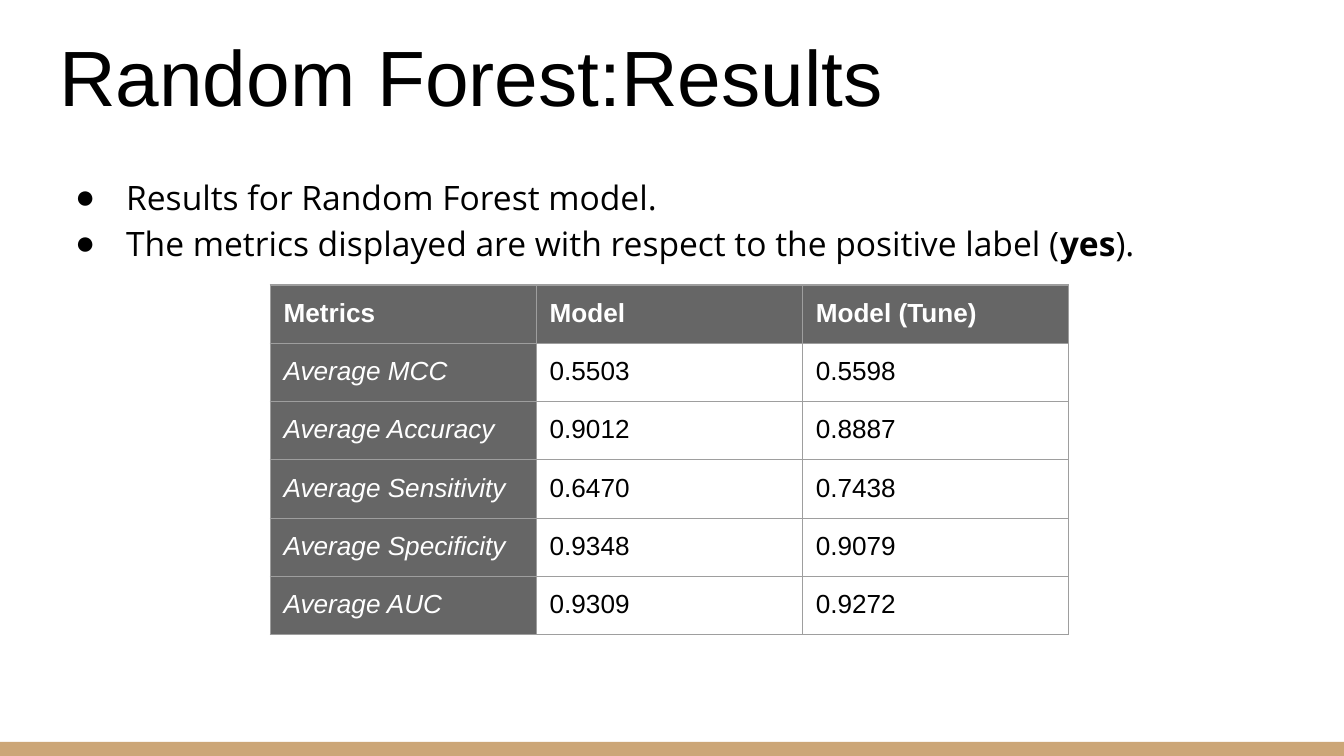
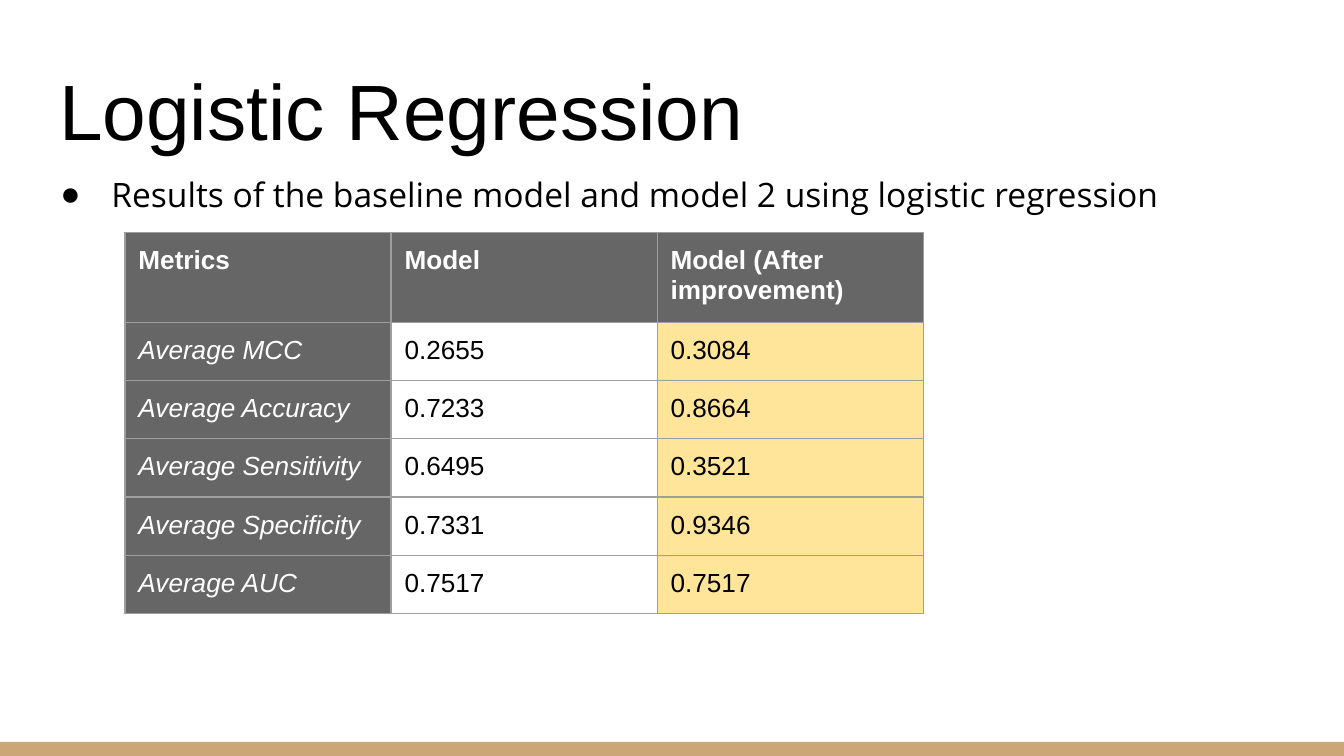
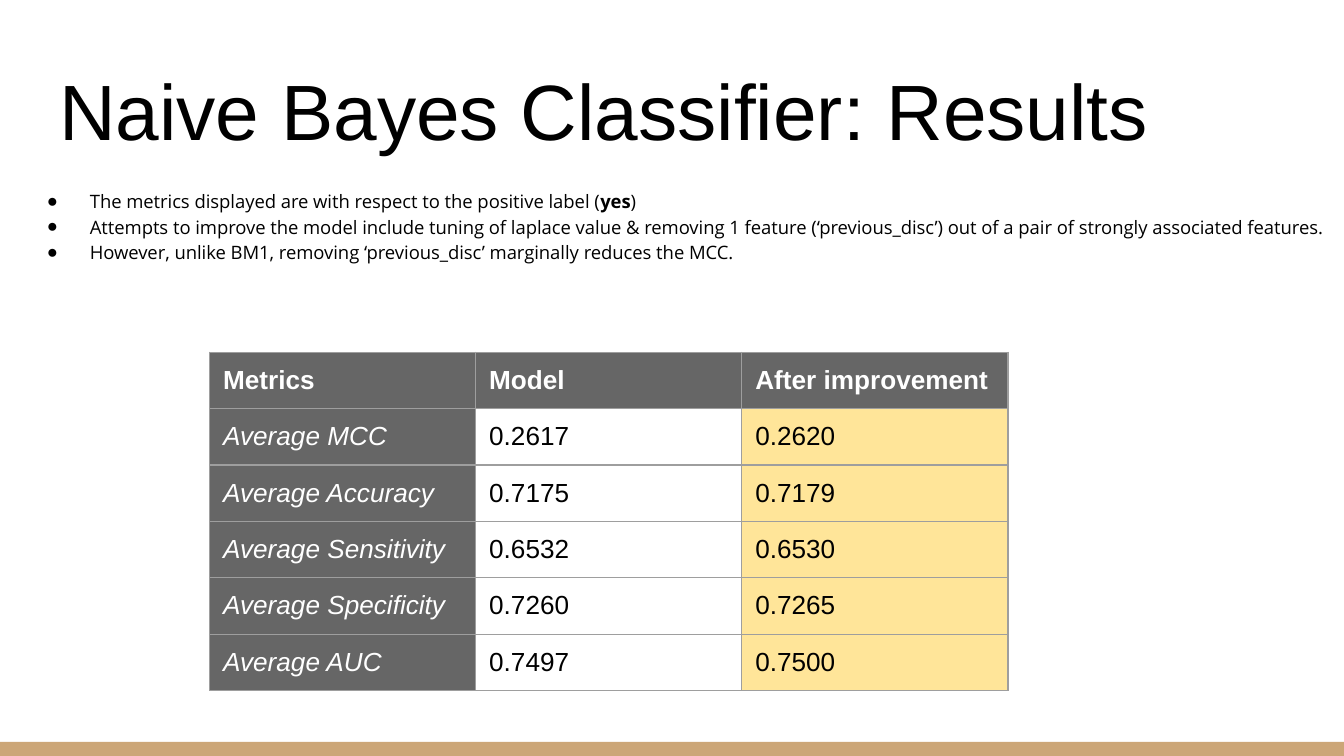
from lxml.etree import SubElement
from pptx import Presentation
from pptx.dml.color import RGBColor
from pptx.enum.shapes import MSO_SHAPE as Shape
from pptx.enum.text import MSO_ANCHOR as Anchor, MSO_AUTO_SIZE as AutoSize, PP_ALIGN as Align
from pptx.oxml.ns import qn
from pptx.util import Inches, Pt

COLORS = {
    "black": "000000",
    "white": "FFFFFF",
    "band": "CCA677",
    "header": "666666",
    "border": "9E9E9E",
    "highlight": "FFE599",
}
HEAD_FONT = "Arial"
BODY_FONT = "Open Sans"
SLIDE_WIDTH = 10
SLIDE_HEIGHT = SLIDE_WIDTH * 9 / 16
COLUMN_WIDTH, ROW_HEIGHT = 1.98, 0.42
INSET = 0.1
METRICS = ["MCC", "Accuracy", "Sensitivity", "Specificity", "AUC"]


def color(name):
    return RGBColor.from_string(COLORS[name])


def style_font(font, face, size, color_name, bold=False, italic=False):
    font.name, font.size = face, Pt(size)
    font.bold, font.italic = bold, italic
    font.color.rgb = color(color_name)


def set_insets(target):
    """Give a text frame or table cell the same margin on all four sides."""
    target.margin_left = target.margin_right = Inches(INSET)
    target.margin_top = target.margin_bottom = Inches(INSET)


def add_bullet(para, hanging):
    properties = para._p.get_or_add_pPr()
    properties.set("marL", str(Inches(0.5)))
    properties.set("indent", str(-Inches(hanging)))
    bullet_color = SubElement(properties, qn("a:buClr"))
    SubElement(bullet_color, qn("a:srgbClr"), val=COLORS["black"])
    SubElement(properties, qn("a:buFont"), typeface=HEAD_FONT)
    SubElement(properties, qn("a:buChar"), char="●")


def add_borders(cell):
    properties = cell._tc.get_or_add_tcPr()
    for side in ("a:lnL", "a:lnR", "a:lnT", "a:lnB"):
        line = SubElement(properties, qn(side), w=str(Pt(0.75)))
        fill = SubElement(line, qn("a:solidFill"))
        SubElement(fill, qn("a:srgbClr"), val=COLORS["border"])


class ResultsDeck:
    def __init__(self):
        self.deck = Presentation()
        self.deck.slide_width = Inches(SLIDE_WIDTH)
        self.deck.slide_height = Inches(SLIDE_HEIGHT)
        self.page = None

    def add_page(self, title, title_top):
        self.page = self.deck.slides.add_slide(self.deck.slide_layouts[5])
        self.add_band()
        self.set_title(title, title_top)

    def add_band(self):
        band = self.page.shapes.add_shape(
            Shape.RECTANGLE, Inches(0), Inches(5.52), Inches(SLIDE_WIDTH), Inches(0.11))
        band.shadow.inherit = False
        band.fill.solid()
        band.fill.fore_color.rgb = color("band")
        band.line.fill.background()

    def set_title(self, text, top):
        title = self.page.shapes.title
        title.left, title.top = Inches(0.34), Inches(top)
        title.width, title.height = Inches(9.32), Inches(0.91)
        frame = title.text_frame
        frame.text = text
        frame.auto_size = AutoSize.NONE
        frame.vertical_anchor = Anchor.BOTTOM
        set_insets(frame)
        para = frame.paragraphs[0]
        para.alignment = Align.LEFT
        style_font(para.runs[0].font, HEAD_FONT, 42, "black")

    def add_bullets(self, items, left, top, width, height, size=18, hanging=0.38):
        """Write one bullet per item; text between ** marks is bold."""
        box = self.page.shapes.add_textbox(
            Inches(left), Inches(top), Inches(width), Inches(height))
        frame = box.text_frame
        frame.word_wrap = True
        set_insets(frame)
        for index, item in enumerate(items):
            para = frame.add_paragraph() if index else frame.paragraphs[0]
            para.line_spacing = 1.15
            add_bullet(para, hanging)
            for position, text in enumerate(item.split("**")):
                span = para.add_run()
                span.text = text
                style_font(span.font, BODY_FONT, size, "black", bold=position % 2 == 1)

    def add_metrics_table(self, left, top, improved_label, model, improved,
                          improved_fill="highlight"):
        rows = [("Metrics", "Model", improved_label)]
        rows += [(f"Average {name}", before, after)
                 for name, before, after in zip(METRICS, model, improved)]
        column_count = len(rows[0])
        table = self.page.shapes.add_table(
            len(rows), column_count, Inches(left), Inches(top),
            Inches(COLUMN_WIDTH * column_count), Inches(ROW_HEIGHT * len(rows))).table
        table.first_row = table.horz_banding = False
        for column in table.columns:
            column.width = Inches(COLUMN_WIDTH)
        value_fills = ("header", "white", improved_fill)
        for row_index, row in enumerate(rows):
            table.rows[row_index].height = Inches(ROW_HEIGHT)
            is_header = row_index == 0
            for column_index, text in enumerate(row):
                is_label = column_index == 0 and not is_header
                self.fill_cell(
                    table.cell(row_index, column_index), text,
                    "header" if is_header else value_fills[column_index],
                    "white" if is_header or is_label else "black",
                    bold=is_header, italic=is_label)

    def fill_cell(self, cell, text, fill, text_color, bold, italic):
        cell.text = text
        set_insets(cell)
        add_borders(cell)
        cell.fill.solid()
        cell.fill.fore_color.rgb = color(fill)
        font = cell.text_frame.paragraphs[0].runs[0].font
        style_font(font, HEAD_FONT, 14, text_color, bold, italic)


def main():
    results = ResultsDeck()

    results.add_page("Random Forest:Results", 0.1)
    results.add_bullets(
        ["Results for Random Forest model.",
         "The metrics displayed are with respect to the positive label (**yes**)."],
        0.34, 1.17, 9.32, 0.85)
    results.add_metrics_table(
        2.01, 2.12, "Model (Tune)",
        ["0.5503", "0.9012", "0.6470", "0.9348", "0.9309"],
        ["0.5598", "0.8887", "0.7438", "0.9079", "0.9272"],
        improved_fill="white")

    results.add_page("Logistic Regression", 0.35)
    results.add_bullets(
        ["Results of the baseline model and model 2 using logistic regression"],
        0.23, 1.15, 9.32, 3.67)
    results.add_metrics_table(
        0.93, 1.73, "Model (After improvement)",
        ["0.2655", "0.7233", "0.6495", "0.7331", "0.7517"],
        ["0.3084", "0.8664", "0.3521", "0.9346", "0.7517"])

    results.add_page("Naive Bayes Classifier: Results", 0.35)
    results.add_metrics_table(
        1.56, 2.62, "After improvement",
        ["0.2617", "0.7175", "0.6532", "0.7260", "0.7497"],
        ["0.2620", "0.7179", "0.6530", "0.7265", "0.7500"])
    results.add_bullets(
        ["The metrics displayed are with respect to the positive label (**yes**)",
         "Attempts to improve the model include tuning of laplace value & removing 1 feature "
         "(‘previous_disc’) out of a pair of strongly associated features.",
         "However, unlike BM1, removing ‘previous_disc’ marginally reduces the MCC."],
        0.07, 1.29, 10.05, 0.85, size=9.9, hanging=0.32)

    results.deck.save("out.pptx")


if __name__ == "__main__":
    main()
